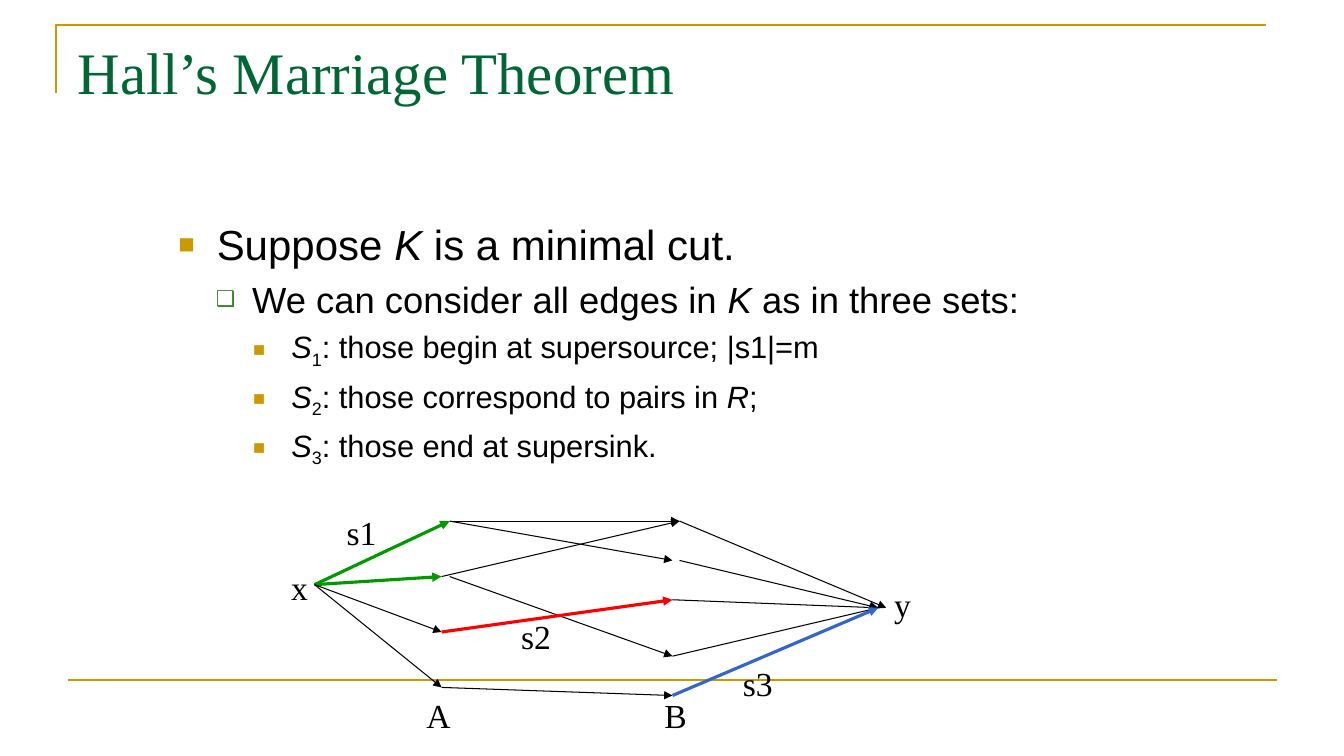
import pptx
import pptx.dml.color
import pptx.enum.shapes
import pptx.enum.text
import pptx.oxml.ns
import pptx.util
import lxml.etree

EMU_PER_PX = 9144
BLACK = pptx.dml.color.RGBColor(0x00, 0x00, 0x00)
GOLD = pptx.dml.color.RGBColor(0xCC, 0x99, 0x00)
TITLE_GREEN = pptx.dml.color.RGBColor(0x00, 0x66, 0x33)
BULLET_GREEN = pptx.dml.color.RGBColor(0x3B, 0x81, 0x2F)
SOURCE_GREEN = pptx.dml.color.RGBColor(0x00, 0x99, 0x00)
PAIR_RED = pptx.dml.color.RGBColor(0xFF, 0x00, 0x00)
SINK_BLUE = pptx.dml.color.RGBColor(0x33, 0x66, 0xCC)

LEVELS = [
    dict(size=30, margin=38, indent=-38, before=6, bullet="■", color=GOLD, percent=65),
    dict(size=26, margin=73, indent=-36, before=6, bullet="❑", color=BULLET_GREEN, percent=60),
    dict(size=22, margin=112, indent=-38, before=5, bullet="■", color=GOLD, percent=65),
]

OUTLINE = [
    (0, [("Suppose ", ""), ("K", "italic"), (" is a minimal cut.", "")]),
    (1, [("We can consider all edges in ", ""), ("K ", "italic"), ("as in three sets:", "")]),
    (2, [("S", "italic"), ("1", "sub"), (": those begin at supersource; |s1|=m", "")]),
    (2, [("S", "italic"), ("2", "sub"), (": those correspond to pairs in ", ""),
         ("R", "italic"), (";", "")]),
    (2, [("S", "italic"), ("3", "sub"), (": those end at supersink.", "")]),
]

SOURCE, SINK = (312, 580), (871, 603)
A1, A2, A3, A4 = (446, 517), (438, 572), (438, 627), (438, 682)
B1, B2, B3, B4, B5 = (674, 517), (667, 556), (667, 595), (667, 651), (667, 690)

EDGES = [
    (SOURCE, A1, SOURCE_GREEN),
    (SOURCE, A2, SOURCE_GREEN),
    (SOURCE, A3, BLACK),
    (SOURCE, A4, BLACK),
    (A1, B1, BLACK),
    (A1, B2, BLACK),
    (A2, B1, BLACK),
    ((446, 572), B4, BLACK),
    (A3, B3, PAIR_RED),
    (A4, B5, BLACK),
    (B1, (879, 603), BLACK),
    ((674, 556), SINK, BLACK),
    (B3, SINK, BLACK),
    (B4, SINK, BLACK),
    (B5, SINK, SINK_BLUE),
]

LABELS = [
    ("s1", 334, 503, 50), ("s2", 507, 606, 50), ("s3", 727, 653, 50),
    ("x", 279, 558, 37), ("y", 877, 574, 37), ("A", 413, 684, 44), ("B", 649, 684, 42),
]


def px(length):
    return pptx.util.Emu(length * EMU_PER_PX)


class SlideBuilder:
    heading_font = "Times New Roman"
    body_font = "Arial"

    def __init__(self, slide):
        self.slide = slide
        self.shapes = slide.shapes

    def start_group(self):
        self.shapes = self.slide.shapes.add_group_shape().shapes

    def place(self, shape, left, top, width, height):
        shape.left, shape.top = px(left), px(top)
        shape.width, shape.height = px(width), px(height)
        frame = shape.text_frame
        frame.word_wrap = True
        frame.auto_size = pptx.enum.text.MSO_AUTO_SIZE.NONE
        frame.vertical_anchor = pptx.enum.text.MSO_ANCHOR.TOP
        return frame

    def run(self, paragraph, text, font_name, size, color, style=""):
        run = paragraph.add_run()
        run.text = text
        run.font.name = font_name
        run.font.size = pptx.util.Pt(size)
        run.font.color.rgb = color
        run.font.italic = style == "italic"
        if style == "sub":
            run._r.get_or_add_rPr().set("baseline", "-25000")

    def title(self, text, *box):
        paragraph = self.place(self.slide.shapes.title, *box).paragraphs[0]
        paragraph.alignment = pptx.enum.text.PP_ALIGN.LEFT
        self.run(paragraph, text, self.heading_font, 42, TITLE_GREEN)

    def bullet(self, paragraph, level):
        properties = paragraph._p.get_or_add_pPr()
        properties.set("marL", str(px(level["margin"])))
        properties.set("indent", str(px(level["indent"])))

        def add(parent, tag, **attributes):
            return lxml.etree.SubElement(parent, pptx.oxml.ns.qn(tag), attributes)

        add(add(properties, "a:buClr"), "a:srgbClr", val=str(level["color"]))
        add(properties, "a:buSzPct", val=str(level["percent"] * 1000))
        add(properties, "a:buFont", typeface=self.body_font)
        add(properties, "a:buChar", char=level["bullet"])

    def outline(self, items, *box):
        frame = self.place(self.slide.placeholders[1], *box)
        for index, (depth, runs) in enumerate(items):
            level = LEVELS[depth]
            paragraph = frame.add_paragraph() if index else frame.paragraphs[0]
            self.bullet(paragraph, level)
            paragraph.level = depth
            paragraph.space_before = pptx.util.Pt(level["before"] if index else 0)
            for text, style in runs:
                self.run(paragraph, text, self.body_font, level["size"], BLACK, style)

    def corner(self, points, color, weight):
        builder = self.shapes.build_freeform(*points[0], scale=EMU_PER_PX)
        builder.add_line_segments(points[1:], close=False)
        shape = builder.convert_to_shape()
        shape.shadow.inherit = False
        shape.fill.background()
        shape.line.color.rgb = color
        shape.line.width = pptx.util.Pt(weight)

    def line(self, start, end, color, weight, arrow=False):
        connector = self.shapes.add_connector(
            pptx.enum.shapes.MSO_CONNECTOR.STRAIGHT, *map(px, start + end))
        connector.line.color.rgb = color
        connector.line.width = pptx.util.Pt(weight)
        if arrow:
            outline = connector.line._get_or_add_ln()
            lxml.etree.SubElement(outline, pptx.oxml.ns.qn("a:tailEnd"), type="triangle")
        lxml.etree.SubElement(connector._element.spPr, pptx.oxml.ns.qn("a:effectLst"))

    def label(self, text, left, top, width):
        box = self.shapes.add_textbox(px(left), px(top), px(width), px(50))
        box.text_frame.word_wrap = False
        box.text_frame.auto_size = pptx.enum.text.MSO_AUTO_SIZE.SHAPE_TO_FIT_TEXT
        self.run(box.text_frame.paragraphs[0], text, self.heading_font, 24, BLACK)


def main():
    presentation = pptx.Presentation()
    presentation.slide_width, presentation.slide_height = px(1333), px(750)
    builder = SlideBuilder(presentation.slides.add_slide(presentation.slide_layouts[1]))

    builder.corner([(56, 92), (56, 25), (1256, 25)], GOLD, 1.5)
    builder.line((67, 675), (1267, 675), GOLD, 1.5)
    builder.title("Hall’s Marriage Theorem", 67, 30, 1200, 125)
    builder.outline(OUTLINE, 167, 212, 980, 450)

    builder.start_group()
    for start, end, color in EDGES:
        builder.line(start, end, color, 0.75 if color == BLACK else 2.25, arrow=True)
    for label in LABELS:
        builder.label(*label)

    presentation.save("out.pptx")


if __name__ == "__main__":
    main()
